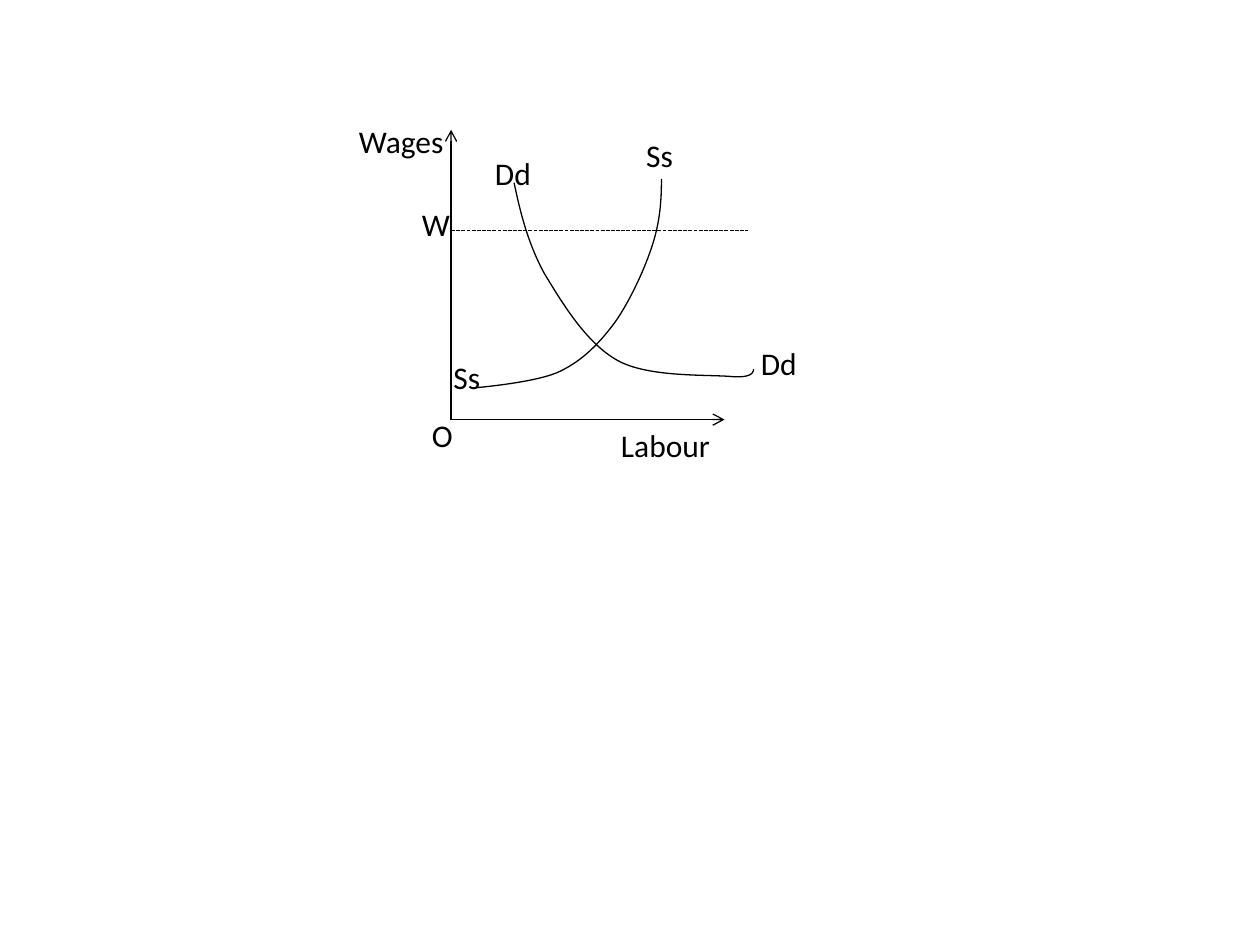
import lxml.etree
import pptx
import pptx.dml.color
import pptx.enum.dml
import pptx.enum.text
import pptx.oxml.ns
import pptx.util
from dataclasses import dataclass
from pptx.util import Inches

qn = pptx.oxml.ns.qn


@dataclass(frozen=True)
class Theme:
    ink: str = "000000"
    font: str = "Calibri"
    label_size: float = 18
    line_width: float = 0.75


class DiagramSlide:
    """Draws the parts of a diagram on one slide in one style."""

    def __init__(self, slide, theme):
        self.slide = slide
        self.theme = theme
        self.ink = pptx.dml.color.RGBColor.from_string(theme.ink)

    def style_line(self, shape):
        shape.line.color.rgb = self.ink
        shape.line.width = pptx.util.Pt(self.theme.line_width)

    def line(self, start, end, dash=None, arrow=False):
        points = [Inches(value) for value in (*start, *end)]
        connector = self.slide.shapes.add_connector(
            pptx.enum.shapes.MSO_CONNECTOR.STRAIGHT, *points)
        self.style_line(connector)
        if dash is not None:
            connector.line.dash_style = dash
        properties = connector._element.spPr
        if arrow:
            outline = properties.find(qn("a:ln"))
            lxml.etree.SubElement(outline, qn("a:tailEnd"), type="arrow")
        lxml.etree.SubElement(properties, qn("a:effectLst"))

    def curve(self, start, control_points):
        """Draw cubic segments, each given by three control points."""
        points = [(Inches(x), Inches(y)) for x, y in control_points]
        builder = self.slide.shapes.build_freeform(Inches(start[0]), Inches(start[1]))
        builder.add_line_segments(points, close=False)
        shape = builder.convert_to_shape()
        shape.shadow.inherit = False
        shape.fill.background()
        self.style_line(shape)

        # Turn every three straight segments into one cubic segment
        segments = list(shape._element.iter(qn("a:lnTo")))
        for first in range(0, len(segments), 3):
            cubic = lxml.etree.Element(qn("a:cubicBezTo"))
            segments[first].addprevious(cubic)
            for segment in segments[first:first + 3]:
                cubic.append(segment[0])
                segment.getparent().remove(segment)

    def label(self, text, left, top, width, height=0.4):
        box = self.slide.shapes.add_textbox(
            *(Inches(value) for value in (left, top, width, height)))
        frame = box.text_frame
        frame_format = {
            "word_wrap": False,
            "auto_size": pptx.enum.text.MSO_AUTO_SIZE.SHAPE_TO_FIT_TEXT,
        }
        for name, value in frame_format.items():
            setattr(frame, name, value)
        run = frame.paragraphs[0].add_run()
        run.text = text
        font_format = {
            "name": self.theme.font,
            "size": pptx.util.Pt(self.theme.label_size),
        }
        for name, value in font_format.items():
            setattr(run.font, name, value)
        run.font.color.rgb = self.ink


def main():
    presentation = pptx.Presentation()
    presentation.slide_width = Inches(10)
    presentation.slide_height = Inches(7.5)
    slide = presentation.slides.add_slide(presentation.slide_layouts[6])
    diagram = DiagramSlide(slide, Theme())

    # Axes
    origin_x, origin_y = 3.58, 3.33
    origin = (origin_x, origin_y)
    diagram.line(origin, (origin_x, 1.03), arrow=True)
    diagram.line(origin, (5.75, origin_y), arrow=True)

    # Supply and demand curves
    diagram.curve((5.25, 1.42), [
        (5.25, 1.59), (5.24, 1.75), (5.18, 1.94),
        (5.12, 2.13), (5, 2.39), (4.88, 2.56),
        (4.76, 2.72), (4.63, 2.86), (4.44, 2.95),
        (4.25, 3.04), (3.75, 3.08), (3.75, 3.08),
    ])
    diagram.curve((4.08, 1.45), [
        (4.13, 1.69), (4.19, 1.93), (4.32, 2.17),
        (4.46, 2.4), (4.65, 2.72), (4.9, 2.86),
        (5.15, 3), (5.63, 2.97), (5.82, 2.99),
        (6, 3), (5.98, 2.93), (5.98, 2.93),
    ])

    # Wage level
    wage_y = 1.83
    diagram.line((origin_x, wage_y), (5.94, wage_y),
                 dash=pptx.enum.dml.MSO_LINE.SQUARE_DOT)

    # Labels: text, left, top, width
    for label in (
        ("Dd", 3.83, 1.17, 0.49),
        ("Dd", 5.94, 2.68, 0.49),
        ("Ss", 5.03, 1.03, 0.42),
        ("Ss", 3.5, 2.79, 0.42),
        ("Labour", 4.83, 3.33, 0.92),
        ("O", 3.33, 3.25, 0.37),
        ("W", 3.25, 1.58, 0.43),
        ("Wages", 2.75, 0.92, 0.88),
    ):
        diagram.label(*label)

    presentation.save("out.pptx")


if __name__ == "__main__":
    main()
